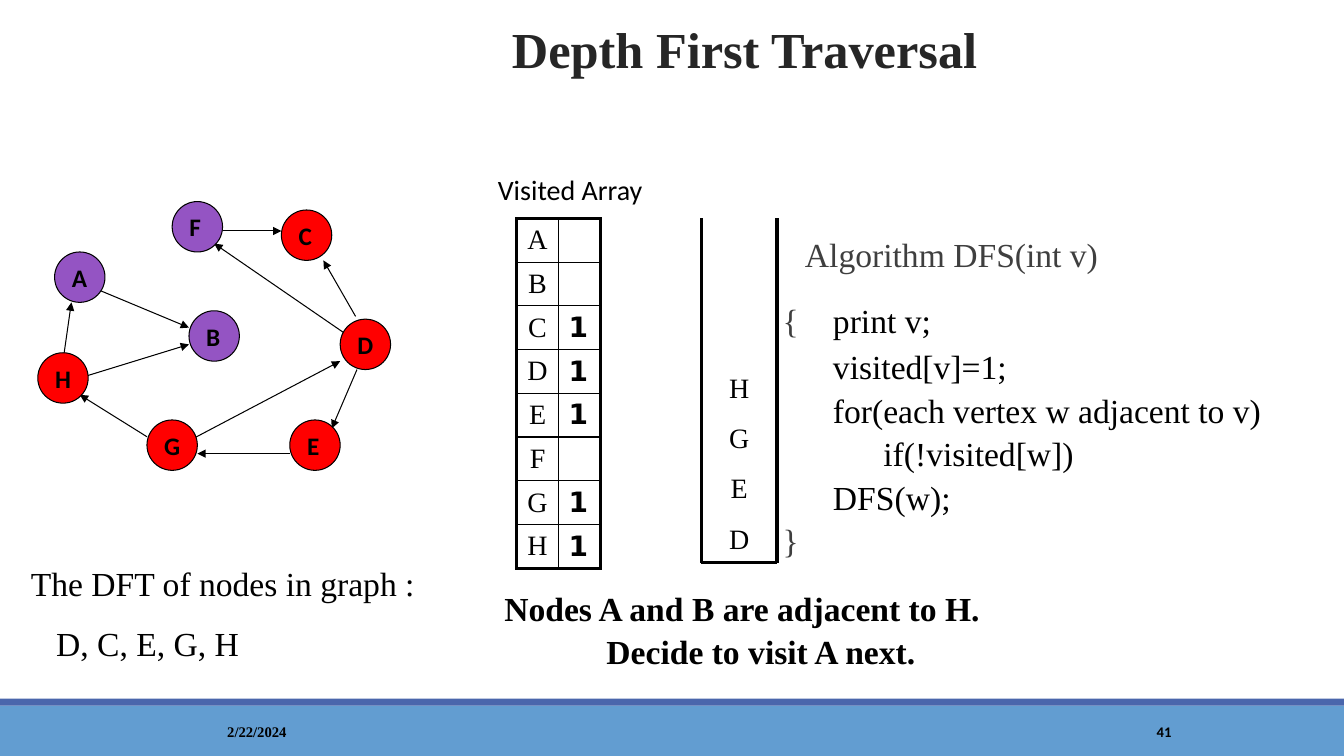
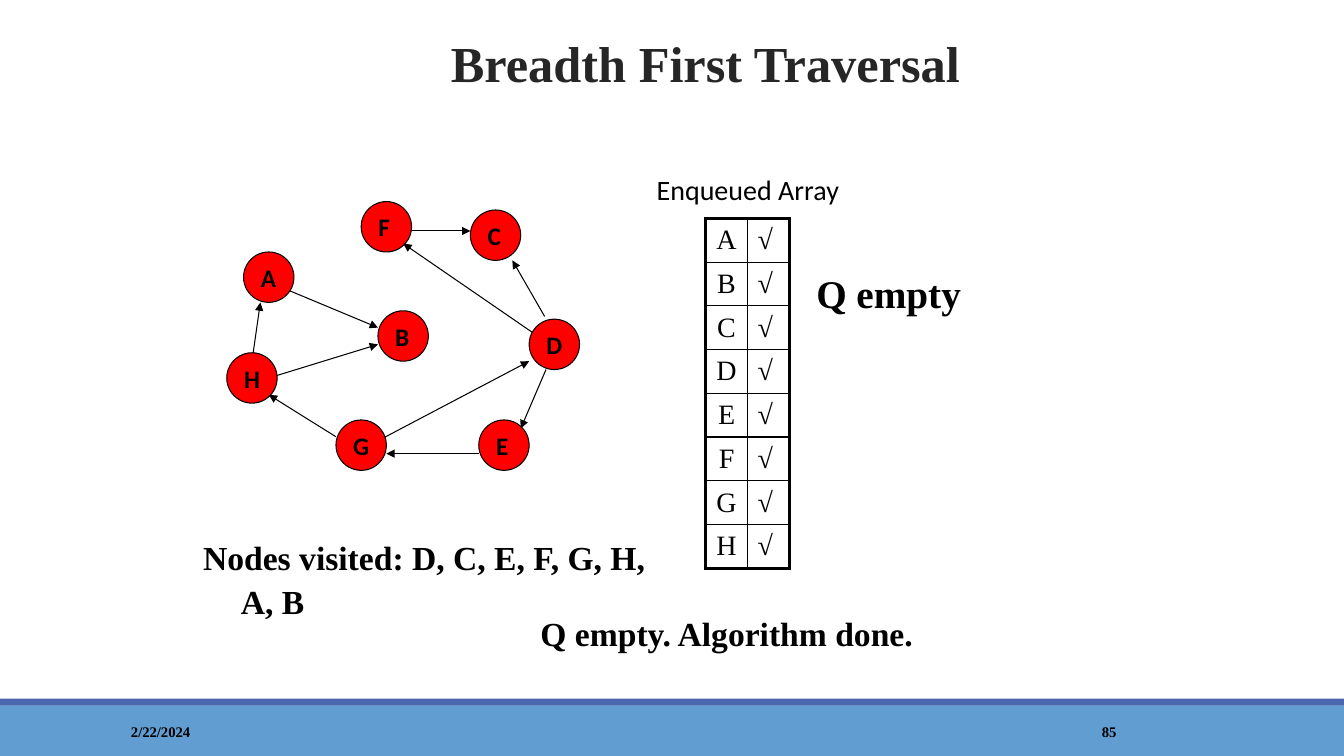
from pptx import Presentation
from pptx.dml.color import RGBColor
from pptx.enum.shapes import MSO_CONNECTOR, MSO_SHAPE
from pptx.enum.text import MSO_ANCHOR, MSO_AUTO_SIZE, PP_ALIGN
from pptx.oxml.ns import qn
from pptx.util import Pt
from lxml import etree

LEFT, CENTER = PP_ALIGN.LEFT, PP_ALIGN.CENTER
TOP, MIDDLE = MSO_ANCHOR.TOP, MSO_ANCHOR.MIDDLE
NO_AUTOFIT = MSO_AUTO_SIZE.NONE
STRAIGHT = MSO_CONNECTOR.STRAIGHT
RECTANGLE, OVAL = MSO_SHAPE.RECTANGLE, MSO_SHAPE.OVAL

SERIF, SANS, DIGIT = "Times New Roman", "Calibri", "DejaVu Sans"
BLACK, TITLE_GREY, CODE_GREY = "000000", "262626", "3F3F3F"
RED, PURPLE = "FF0000", "9454C3"
BANDS = (("629DD1", 504, 36), ("4A66AC", 499, 5))
LINE_SPACING = 1.08
HANGING = (27, -27)

NODE_SIZE = 36
NODES = {
    "A": (39, 180), "H": (27, 252), "B": (135, 222), "F": (123, 144),
    "E": (207, 300), "D": (243, 228), "C": (201, 150), "G": (105, 300),
}
EDGES = (
    (249, 240, 153, 174), (255, 264, 237, 306), (57, 270, 135, 246),
    (129, 318, 243, 258), (45, 258, 51, 216), (63, 204, 135, 234),
    (254, 226, 231, 186), (207, 324, 141, 324), (105, 312, 57, 282),
    (159, 165, 201, 165),
)
CODE = (
    ([("Algorithm DFS(int v)", CODE_GREY)], 16, 0, ()),
    ([("{", CODE_GREY), ("\tprint v;", BLACK)], 0, 16, (78,)),
    ([("\tvisited[v]=1;", BLACK)], 0, 2, (72,)),
    ([("\tfor(each vertex w adjacent to v)", BLACK)], 0, 0, (72,)),
    ([("\t\tif(!visited[w])", BLACK)], 0, 0, (72, 144)),
    ([("\tDFS(w);", BLACK)], 0, 0, (72,)),
    ([("}", CODE_GREY)], 0, 0, ()),
)


def color(value):
    return RGBColor.from_string(value)


def add_element(parent, tag, **attributes):
    element = etree.SubElement(parent, qn(tag))
    for name, value in attributes.items():
        element.set(name, str(value))
    return element


def style_font(font, name, size, bold=False, value=BLACK):
    font.name = name
    font.size = Pt(size)
    font.bold = bold
    font.color.rgb = color(value)


def set_indent(paragraph, left, first=0):
    properties = paragraph._p.get_or_add_pPr()
    properties.set("marL", str(Pt(left)))
    properties.set("indent", str(Pt(first)))
    return properties


def place(shape, left, top, width, height):
    shape.left, shape.top = Pt(left), Pt(top)
    shape.width, shape.height = Pt(width), Pt(height)


def add_text(slide, box, lines, size=24, bold=False, name=SERIF, align=LEFT,
             spacing=LINE_SPACING, before=0, indents=((0, 0),), anchor=TOP):
    frame = slide.shapes.add_textbox(*map(Pt, box)).text_frame
    frame.word_wrap = True
    frame.vertical_anchor = anchor
    for index, line in enumerate(lines):
        paragraph = frame.add_paragraph() if index else frame.paragraphs[0]
        paragraph.text = line
        set_indent(paragraph, *indents[min(index, len(indents) - 1)])
        paragraph.alignment = align
        paragraph.line_spacing = spacing
        paragraph.space_before = Pt(before if index else 0)
        style_font(paragraph.font, name, size, bold)


def add_line(slide, points, width, arrow=False):
    connector = slide.shapes.add_connector(STRAIGHT, *map(Pt, points))
    connector.line.color.rgb = color(BLACK)
    connector.line.width = Pt(width)
    properties = connector.element.spPr
    if arrow:
        add_element(properties.find(qn("a:ln")), "a:tailEnd", type="triangle")
    add_element(properties, "a:effectLst")


def add_filled(slide, kind, box, fill):
    shape = slide.shapes.add_shape(kind, *map(Pt, box))
    shape.shadow.inherit = False
    shape.fill.solid()
    shape.fill.fore_color.rgb = color(fill)
    shape.line.fill.background()
    return shape


def add_node(slide, label, left, top, fill):
    node = add_filled(slide, OVAL, (left, top, NODE_SIZE, NODE_SIZE), fill)
    node.line.color.rgb = color(BLACK)
    node.line.width = Pt(0.75)
    frame = node.text_frame
    frame.vertical_anchor = MIDDLE
    paragraph = frame.paragraphs[0]
    paragraph.text = label
    paragraph.alignment = LEFT
    style_font(paragraph.font, SANS, 18, True)


def add_graph(slide, offset, unvisited=""):
    for x1, y1, x2, y2 in EDGES:
        add_line(slide, (x1 + offset, y1, x2 + offset, y2), 0.75, True)
    for label, (left, top) in NODES.items():
        fill = PURPLE if label in unvisited else RED
        add_node(slide, label, left + offset, top, fill)


def set_borders(cell, widths):
    properties = cell._tc.get_or_add_tcPr()
    for side, width in zip("LRTB", widths):
        line = add_element(properties, f"a:ln{side}", w=Pt(width))
        fill = add_element(line, "a:solidFill")
        add_element(fill, "a:srgbClr", val=BLACK)


def add_marks(slide, left, marks, font_name, bold):
    labels = sorted(NODES)
    last = len(labels) - 1
    row_height, column_width = 29.5, 30
    box = (left, 156, 2 * column_width, row_height * len(labels))
    table = slide.shapes.add_table(len(labels), 2, *map(Pt, box)).table
    table.first_row = table.horz_banding = False
    for column in table.columns:
        column.width = Pt(column_width)
    for row, label in enumerate(labels):
        table.rows[row].height = Pt(row_height)
        texts = ((label, SERIF, False, CENTER),
                 (marks.get(label, ""), font_name, bold, LEFT))
        for index, (text, name, heavy, align) in enumerate(texts):
            cell = table.cell(row, index)
            outer = (index == 0, index == 1, row == 0, row == last)
            set_borders(cell, [2.25 if edge else 1 for edge in outer])
            cell.fill.background()
            cell.vertical_anchor = MIDDLE
            paragraph = cell.text_frame.paragraphs[0]
            paragraph.text = text
            paragraph.alignment = align
            style_font(paragraph.font, name, 20, heavy)


def add_stack(slide, items):
    left, right, top, bottom = 501, 555, 156, 402
    for points in ((left, top, left, bottom), (right, top, right, bottom),
                   (left, bottom, right, bottom)):
        add_line(slide, points, 2.25)
    add_text(slide, (left, 259, right - left, 144), items, 20,
             align=CENTER, before=10)


def fill_code(placeholder):
    place(placeholder, 559, 161, 390, 229)
    frame = placeholder.text_frame
    frame.auto_size = NO_AUTOFIT
    frame.margin_left = frame.margin_right = 0
    for index, (runs, left, before, stops) in enumerate(CODE):
        paragraph = frame.add_paragraph() if index else frame.paragraphs[0]
        properties = set_indent(paragraph, left)
        paragraph.line_spacing = LINE_SPACING
        paragraph.space_before = Pt(before)
        add_element(properties, "a:buNone")
        if stops:
            tabs = add_element(properties, "a:tabLst")
            for stop in stops:
                add_element(tabs, "a:tab", pos=Pt(stop), algn="l")
        style_font(paragraph.font, SERIF, 24, value=runs[0][1])
        for text, value in runs:
            run = paragraph.add_run()
            run.text = text
            run.font.color.rgb = color(value)


def set_title(slide, text, box, spacing):
    title = slide.shapes.title
    place(title, *box)
    frame = title.text_frame
    frame.auto_size = NO_AUTOFIT
    frame.vertical_anchor = TOP
    paragraph = frame.paragraphs[0]
    paragraph.text = text
    paragraph.alignment = CENTER
    paragraph.line_spacing = spacing
    style_font(paragraph.font, SERIF, 36, True, TITLE_GREY)


def add_footer(slide, number, number_font, align):
    for left, width, text, name in ((86.5, 194, "2/22/2024", SERIF),
                                    (780, 103, number, number_font)):
        add_text(slide, (left, 508.5, width, 28.5), [text], 10.5, True, name,
                 align, 1, anchor=MIDDLE)


def add_master_bands(presentation, slide):
    tree = presentation.slide_master.element.cSld.spTree
    for index, (fill, top, height) in enumerate(BANDS):
        box = (0, top, 960, height)
        band = add_filled(slide, RECTANGLE, box, fill)
        band.element.nvSpPr.cNvPr.set("id", str(100 + index))
        tree.insert(2 + index, band.element)


def build_depth_first(presentation):
    slide = presentation.slides.add_slide(presentation.slide_layouts[1])
    add_master_bands(presentation, slide)
    set_title(slide, "Depth First Traversal", (124, 16, 816, 53), 0.85)
    fill_code(slide.placeholders[1])
    add_graph(slide, 0, "ABF")
    add_text(slide, (348.5, 120, 132, 31), ["Visited Array"], 20,
             name=SANS, spacing=1)
    add_marks(slide, 369, dict.fromkeys("CDEGH", "1"), DIGIT, True)
    add_stack(slide, "HGED")
    add_text(slide, (351, 414, 358, 65.5),
             ["Nodes A and B are adjacent to H. Decide to visit A next."],
             bold=True, align=CENTER, indents=(HANGING,))
    add_text(slide, (15, 396, 324, 80),
             ["The DFT of nodes in graph :", "D, C, E, G, H"],
             before=12, indents=(HANGING, (18, 0)))
    add_footer(slide, "41", SANS, CENTER)


def build_breadth_first(presentation):
    slide = presentation.slides.add_slide(presentation.slide_layouts[5])
    set_title(slide, "Breadth First Traversal", (108, 15, 792, 76), 1.1)
    add_graph(slide, 135)
    add_text(slide, (462, 120, 150, 31), ["Enqueued Array"], 20,
             name=SANS, spacing=1)
    add_marks(slide, 504, dict.fromkeys(NODES, "√"), SERIF, False)
    add_text(slide, (240, 432, 558, 36), ["Q empty. Algorithm done."],
             bold=True, align=CENTER)
    add_text(slide, (576, 186, 246, 41), ["Q empty"], 28, True)
    add_text(slide, (138, 378, 354, 65.5),
             ["Nodes visited: D, C, E, F, G, H, A, B"],
             bold=True, indents=(HANGING,))
    add_footer(slide, "85", SERIF, LEFT)


def main():
    presentation = Presentation()
    presentation.slide_width, presentation.slide_height = Pt(960), Pt(540)
    build_depth_first(presentation)
    build_breadth_first(presentation)
    presentation.save("out.pptx")


if __name__ == "__main__":
    main()
